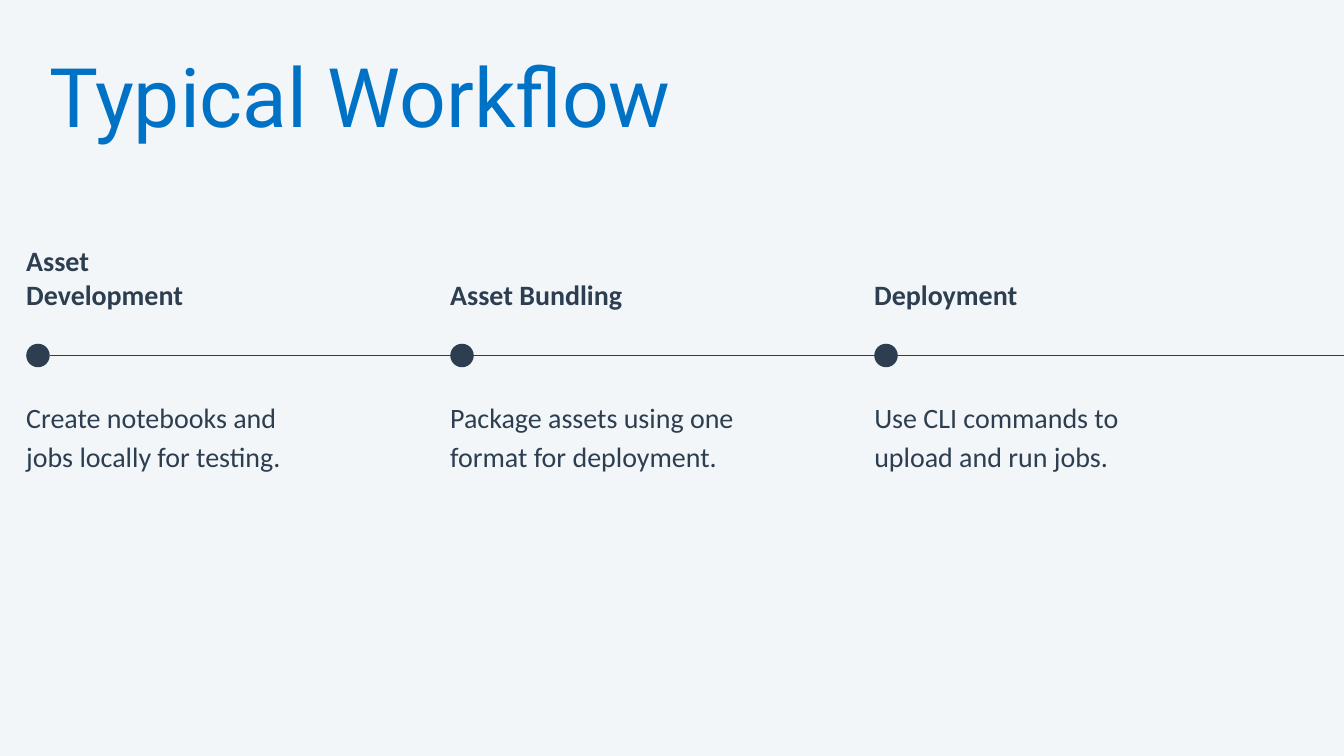
from dataclasses import dataclass

from lxml.etree import SubElement
from pptx import Presentation
from pptx.dml.color import RGBColor
from pptx.enum.shapes import MSO_CONNECTOR, MSO_SHAPE
from pptx.oxml.ns import qn
from pptx.slide import Slide
from pptx.util import Inches, Pt


@dataclass(frozen=True)
class TextStyle:
    font: str
    size: int
    leading: int
    color: RGBColor
    bold: bool = False


@dataclass(frozen=True)
class Theme:
    background: RGBColor = RGBColor(0xF3, 0xF6, 0xF9)
    ink: RGBColor = RGBColor(0x2C, 0x3E, 0x50)
    title: TextStyle = TextStyle("Roboto", 88, 88, RGBColor(0x00, 0x72, 0xC6))
    heading: TextStyle = TextStyle("Calibri", 30, 36, ink, bold=True)
    body: TextStyle = TextStyle("Calibri", 30, 42, ink)
    line_width: float = 1.5


@dataclass(frozen=True)
class Timeline:
    """Column grid of the stages and the rows around the axis, in inches."""
    left: float = 0.39
    pitch: float = 6.31
    heading_width: float = 3.13
    heading_bottom: float = 4.63
    axis: float = 5.29
    dot: float = 0.35
    body_top: float = 5.88
    body_width: float = 4.39

    def column(self, index: int) -> float:
        return self.left + index * self.pitch


@dataclass(frozen=True)
class Stage:
    heading: str
    body: str
    heading_lines: int = 1


WIDTH, HEIGHT = 20, 11.25
THEME = Theme()
TIMELINE = Timeline()
STAGES = (
    Stage("Asset Development", "Create notebooks and jobs locally for testing.", heading_lines=2),
    Stage("Asset Bundling", "Package assets using one format for deployment."),
    Stage("Deployment", "Use CLI commands to upload and run jobs."),
)


def add_text(slide: Slide, text: str, style: TextStyle,
             left: float, top: float, width: float, lines: int = 1) -> None:
    """Add a text box whose height follows from its number of lines."""
    height = Pt(style.leading * lines)
    frame = slide.shapes.add_textbox(Inches(left), Inches(top), Inches(width), height).text_frame
    frame.word_wrap = True
    frame.margin_left = frame.margin_right = frame.margin_top = frame.margin_bottom = 0
    frame.text = text
    paragraph = frame.paragraphs[0]
    paragraph.line_spacing = Pt(style.leading)
    font = paragraph.runs[0].font
    font.name, font.size, font.bold = style.font, Pt(style.size), style.bold
    font.color.rgb = style.color


def add_axis(slide: Slide) -> None:
    y = Inches(TIMELINE.axis)
    start = Inches(TIMELINE.left + TIMELINE.dot)
    axis = slide.shapes.add_connector(MSO_CONNECTOR.STRAIGHT, start, y, Inches(WIDTH), y)
    axis.line.color.rgb = THEME.ink
    axis.line.width = Pt(THEME.line_width)
    SubElement(axis._element.spPr, qn("a:effectLst"))


def add_stage(slide: Slide, stage: Stage, left: float) -> None:
    heading_height = Pt(THEME.heading.leading * stage.heading_lines).inches
    add_text(slide, stage.heading, THEME.heading, left, TIMELINE.heading_bottom - heading_height,
             TIMELINE.heading_width, stage.heading_lines)

    size = Inches(TIMELINE.dot)
    dot = slide.shapes.add_shape(MSO_SHAPE.OVAL, Inches(left),
                                 Inches(TIMELINE.axis - TIMELINE.dot / 2), size, size)
    dot.shadow.inherit = False
    dot.fill.solid()
    dot.fill.fore_color.rgb = THEME.ink
    dot.line.fill.background()

    add_text(slide, stage.body, THEME.body, left, TIMELINE.body_top, TIMELINE.body_width, lines=2)


def main() -> None:
    presentation = Presentation()
    presentation.slide_width, presentation.slide_height = Inches(WIDTH), Inches(HEIGHT)
    slide = presentation.slides.add_slide(presentation.slide_layouts[6])
    slide.background.fill.solid()
    slide.background.fill.fore_color.rgb = THEME.background

    add_text(slide, "Typical Workflow", THEME.title, left=0.73, top=0.92, width=0.77 * WIDTH)
    add_axis(slide)
    for index, stage in enumerate(STAGES):
        add_stage(slide, stage, TIMELINE.column(index))
    presentation.save("out.pptx")


if __name__ == "__main__":
    main()
